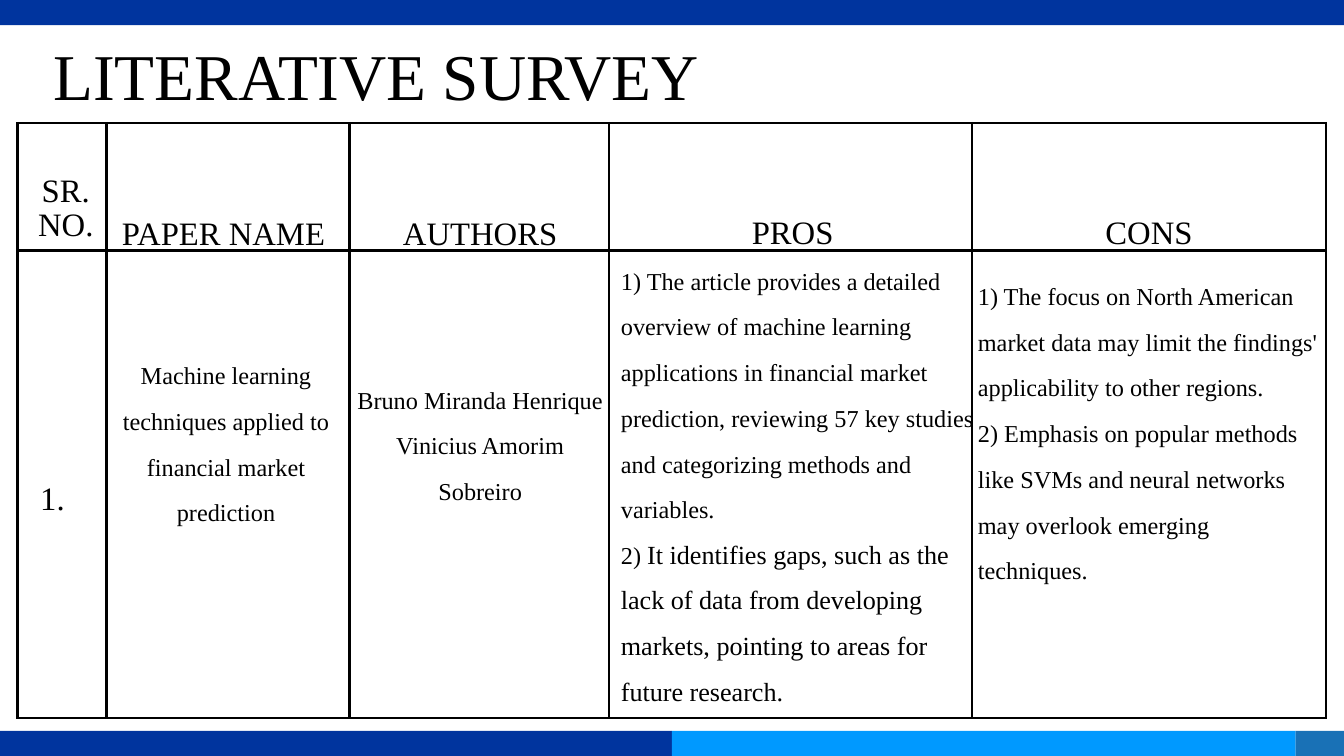
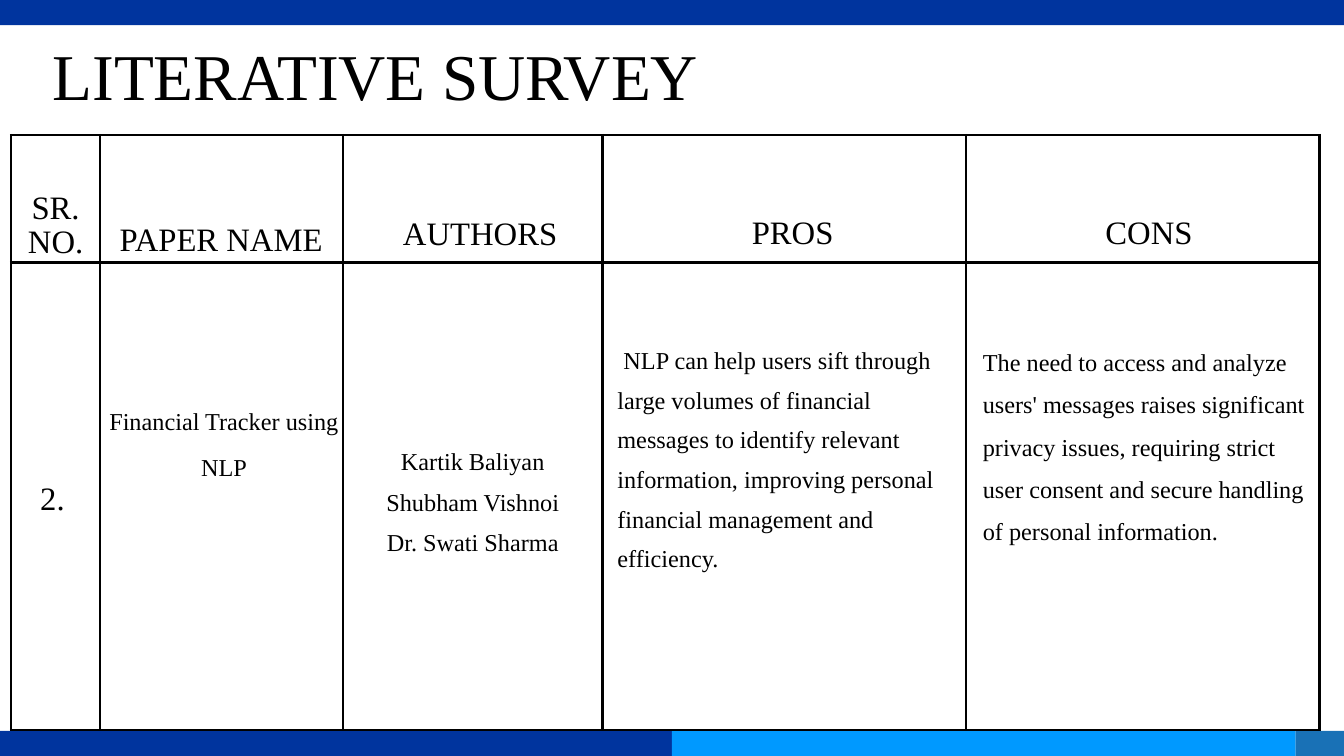
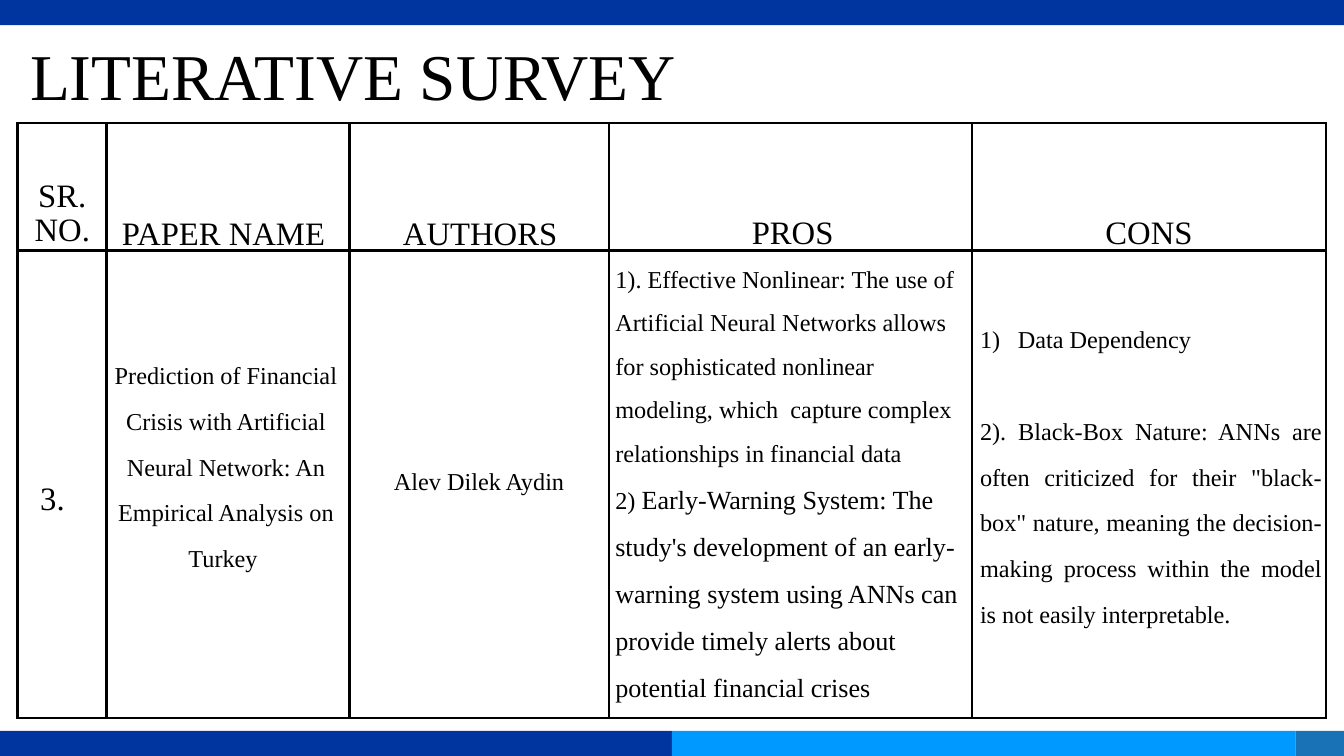
import pptx
import pptx.dml.color
import pptx.enum.shapes
import pptx.enum.text
import pptx.oxml
import pptx.oxml.ns
import pptx.util

RGB = pptx.dml.color.RGBColor
ALIGN = pptx.enum.text.PP_ALIGN
LEFT, MID, JUST = ALIGN.LEFT, ALIGN.CENTER, ALIGN.JUSTIFY

# Shared style
NAVY = RGB(0x00, 0x34, 0x9E)
SKY = RGB(0x00, 0x99, 0xFF)
STEEL = RGB(0x19, 0x71, 0xB6)
BLACK = RGB(0x00, 0x00, 0x00)
FONT = "Times New Roman"
SCALE = 9525  # EMU per px
WIDE, HIGH, BAND = 1920, 1080, 36
COLS = (127, 347, 371, 519, 505)
ROWS = (182, 668)
BODY, LARGE, HEAD, TITLE = 26, 28, 35, 70
STEP = pptx.util.Pt(49)

# Header boxes that stay put on every slide
HEADS = {
    "AUTHORS": (480, 267, 412, 82),
    "PROS": (916, 266, 433, 82),
    "CONS": (1428, 266, 427, 82),
}
NUMBER = (-42, 645, 234, 82)


def px(count):
    return pptx.util.Emu(count * SCALE)


def place(shape, box):
    shape.left, shape.top, shape.width, shape.height = map(px, box)


def write(frame, paras, size, gap, align=LEFT):
    """A paragraph is a string, or a pair whose second part is larger."""
    for i, item in enumerate(paras):
        para = frame.paragraphs[0] if i == 0 else frame.add_paragraph()
        parts = (item,) if isinstance(item, str) else item
        for part in parts:
            run = para.add_run()
            run.text = part
        if len(parts) > 1:
            run.font.size = pptx.util.Pt(LARGE)
        para.alignment = align
        para.line_spacing = gap
        para.space_before = pptx.util.Pt(0)
        font = para.font
        font.name, font.size = FONT, pptx.util.Pt(size)
        font.color.rgb = BLACK


def fill(shape, box, paras, size, gap, align=LEFT):
    place(shape, box)
    frame = shape.text_frame
    frame.word_wrap = True
    frame.auto_size = pptx.enum.text.MSO_AUTO_SIZE.SHAPE_TO_FIT_TEXT
    frame.vertical_anchor = pptx.enum.text.MSO_ANCHOR.TOP
    frame.margin_left = frame.margin_right = 0
    frame.margin_top = frame.margin_bottom = 0
    write(frame, paras, size, gap, align)


def label(slide, box, paras, size, gap):
    fill(slide.shapes.add_textbox(0, 0, 0, 0), box, paras, size, gap, MID)


def mark(para, tag, indent=0, **attrs):
    """Set the bullet of a paragraph and its hanging indent."""
    props = para._p.get_or_add_pPr()
    for old in props.findall(pptx.oxml.ns.qn("a:buNone")):
        props.remove(old)
    props.set("marL", str(px(indent)))
    props.set("indent", str(px(-indent)))
    bullet = pptx.oxml.parse_xml(f"<{tag} {pptx.oxml.ns.nsdecls('a')}/>")
    for name, value in attrs.items():
        bullet.set(name, value)
    props.insert_element_before(bullet, "a:tabLst", "a:defRPr", "a:extLst")


def points(shape, box, paras, gap):
    fill(shape, box, paras, BODY, gap)
    for para in shape.text_frame.paragraphs:
        mark(para, "a:buNone")


def bands(slide):
    base, half, tail = HIGH - BAND, WIDE // 2, 69
    for left, top, width, color in (
        (0, base, half, NAVY),
        (half, base, half - tail, SKY),
        (WIDE - tail, base, tail, STEEL),
        (0, 0, WIDE, NAVY),
    ):
        band = slide.shapes.add_shape(
            pptx.enum.shapes.MSO_SHAPE.RECTANGLE, *map(px, (left, top, width, BAND)))
        band.shadow.inherit = False
        band.fill.solid()
        band.fill.fore_color.rgb = color
        band.line.fill.background()


def border(cell):
    props = cell._tc.get_or_add_tcPr()
    for i, side in enumerate(("lnL", "lnR", "lnT", "lnB")):
        props.insert(i, pptx.oxml.parse_xml(
            f"<a:{side} {pptx.oxml.ns.nsdecls('a')} w='{pptx.util.Pt(3)}'>"
            f"<a:solidFill><a:srgbClr val='{BLACK}'/></a:solidFill></a:{side}>"))


def grid(slide, left, top):
    box = (left, top, sum(COLS), sum(ROWS))
    table = slide.shapes.add_table(len(ROWS), len(COLS), *map(px, box)).table
    table.first_row = table.horz_banding = False
    for col, width in zip(table.columns, COLS):
        col.width = px(width)
    for row, height in zip(table.rows, ROWS):
        row.height = px(height)
    for cell in table.iter_cells():
        cell.fill.background()
        border(cell)
    return table


def credit(cell, names, gap):
    """Author names centred inside their table cell."""
    cell.vertical_anchor = pptx.enum.text.MSO_ANCHOR.MIDDLE
    cell.margin_left = cell.margin_right = px(20)
    cell.margin_top = cell.margin_bottom = px(20)
    write(cell.text_frame, names, BODY, gap, MID)


def survey(deck, number, title, corner, serial, paper, study, pros, cons):
    """Build the parts common to all surveys; return table and cons box."""
    slide = deck.slides.add_slide(deck.slide_layouts.get_by_name("Two Content"))
    bands(slide)
    table = grid(slide, *corner)
    box, align = title
    fill(slide.shapes.title, box, ["LITERATIVE SURVEY"], TITLE, pptx.util.Pt(98), align)

    # Header row and serial number
    label(slide, serial, ["SR. NO."], HEAD, pptx.util.Pt(36.2))
    heads = {"PAPER NAME": paper, **HEADS, f"{number}.": NUMBER}
    for text, place_at in heads.items():
        label(slide, place_at, [text], HEAD, pptx.util.Pt(70))

    # Paper, pros and cons
    label(slide, *study, BODY, STEP)
    points(slide.placeholders[1], *pros)
    points(slide.placeholders[2], *cons)
    return slide, table


def market(deck):
    slide, _ = survey(
        deck, 1, ((43, 31, 989, 121), MID), (25, 176),
        (29, 251, 130, 97), (134, 267, 371, 82),
        ((155, 491, 336, 255),
         ["Machine learning techniques applied to financial market prediction"]),
        ((887, 356, 506, 654), [
            "1) The article provides a detailed overview of machine learning "
            "applications in financial market prediction, reviewing 57 key studies "
            "and categorizing methods and variables.",
            ("2) ", "It identifies gaps, such as the lack of data from developing "
             "markets, pointing to areas for future research."),
        ], STEP),
        ((1397, 378, 489, 453), [
            "1) The focus on North American market data may limit the findings' "
            "applicability to other regions.",
            "2) Emphasis on popular methods like SVMs and neural networks may "
            "overlook emerging techniques.",
        ], STEP))
    label(slide, (510, 526, 352, 190),
          ["Bruno Miranda Henrique", "Vinicius Amorim Sobreiro"], BODY, STEP)


def tracker(deck):
    _, table = survey(
        deck, 2, ((75, 31, 1549, 121), LEFT), (16, 193),
        (0, 275, 159, 97), (142, 275, 348, 82),
        ((144, 557, 352, 123), ["Financial Tracker using NLP"]),
        ((882, 478, 490, 333), [
            " NLP can help users sift through large volumes of financial messages "
            "to identify relevant information, improving personal financial "
            "management and efficiency.",
        ], pptx.util.Pt(42.5)),
        ((1404, 478, 475, 296), [
            "The need to access and analyze users' messages raises significant "
            "privacy issues, requiring strict user consent and secure handling of "
            "personal information.",
        ], pptx.util.Pt(45.1)))
    credit(table.cell(1, 2),
           ["Kartik Baliyan", "Shubham Vishnoi", "Dr. Swati Sharma"], 1.5)


def crisis(deck):
    slide, table = survey(
        deck, 3, ((43, 31, 989, 121), LEFT), (25, 176),
        (25, 258, 128, 97), (134, 267, 371, 82),
        ((155, 491, 336, 322), [
            "Prediction of Financial Crisis with Artificial Neural Network: An",
            "Empirical Analysis on Turkey ",
        ]),
        ((879, 356, 506, 647), [
            "1). Effective Nonlinear: The use of Artificial Neural Networks allows "
            "for sophisticated nonlinear",
            "modeling, which  capture complex relationships in financial data",
            ("2) ", "Early-Warning System: The study's development of an "
             "early-warning system using ANNs can provide timely alerts about "
             "potential financial crises"),
        ], 1.5),
        ((1400, 440, 489, 453), [
            "Data Dependency",
            "2). Black-Box Nature: ANNs are often criticized for their "
            "\"black-box\" nature, meaning the decision-making process within the "
            "model is not easily interpretable.",
        ], STEP))
    credit(table.cell(1, 2), ["Alev Dilek Aydin"], pptx.util.Pt(24.3))

    # Numbered first point, justified second point one line below
    first, second = slide.placeholders[2].text_frame.paragraphs
    mark(first, "a:buAutoNum", 54, type="arabicParenR")
    second.alignment = JUST
    second.space_before = STEP


def main():
    deck = pptx.Presentation()
    deck.slide_width, deck.slide_height = px(WIDE), px(HIGH)
    for build in (market, tracker, crisis):
        build(deck)
    deck.save("out.pptx")


if __name__ == "__main__":
    main()
